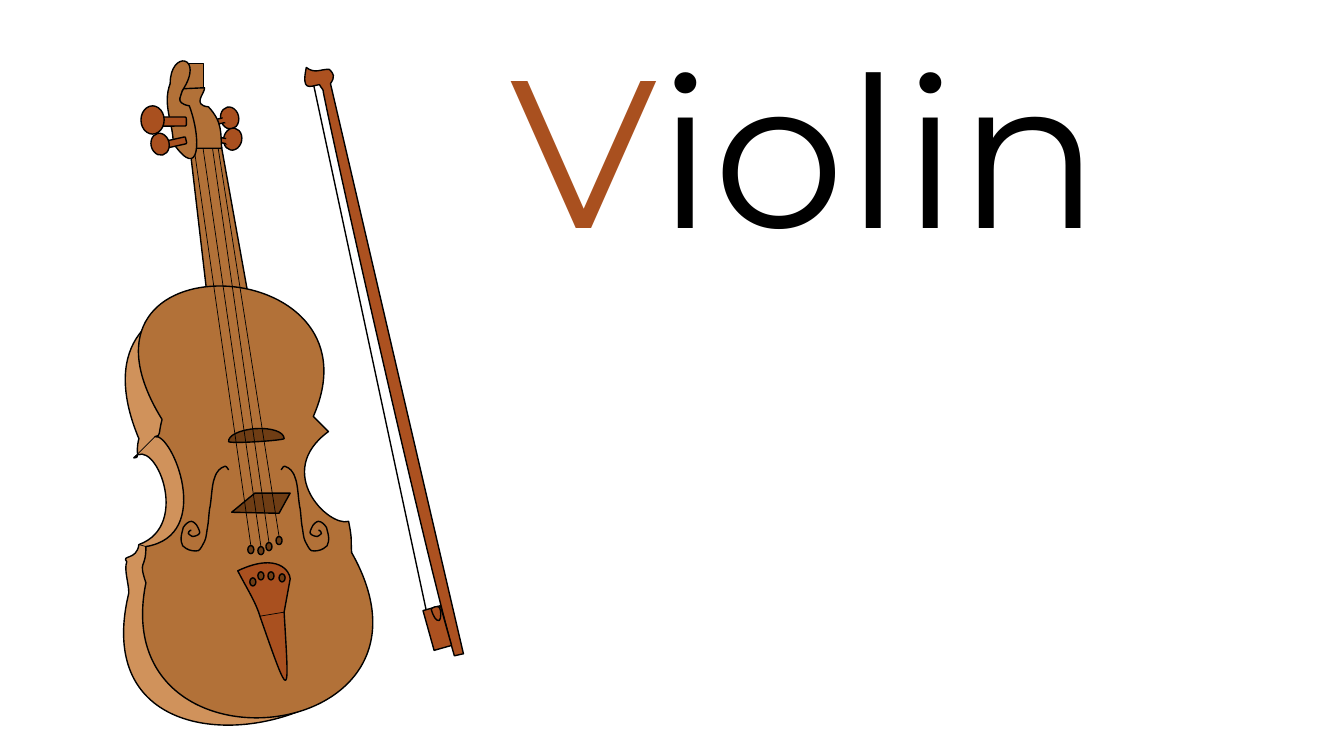
from dataclasses import dataclass
from math import comb
from typing import Any

from lxml.etree import SubElement
from pptx import Presentation
from pptx.dml.color import RGBColor
from pptx.enum.shapes import MSO_CONNECTOR, MSO_SHAPE
from pptx.enum.text import MSO_ANCHOR, MSO_AUTO_SIZE, PP_ALIGN
from pptx.oxml.ns import qn
from pptx.util import Cm, Pt

BLACK = RGBColor(0x00, 0x00, 0x00)
CHESTNUT = RGBColor(0xA9, 0x50, 0x1F)
BOW_WOOD = RGBColor(0xAC, 0x51, 0x20)
MAPLE = RGBColor(0xB2, 0x71, 0x38)
SIDE_WOOD = RGBColor(0xD0, 0x92, 0x5B)
EBONY = RGBColor(0x6F, 0x3D, 0x14)

CURVE_STEPS = 16
TITLE_BOX = (Cm(12.62), Cm(0.33), Cm(17.7), Cm(6.68))
VIOLIN_BOX = (Cm(3.12), Cm(1.55), Cm(6.15))
BOW_BOX = (Cm(7.72), Cm(1.7), Cm(3.96))

NECK = "1.87 1.33 / 2.18 1.35 / 2.5 3.13 / 2.08 3.13"
BACK = """1.33 4.54 / 1.4 4.54 1.34 4.5 1.38 4.35 / 0.58 2.44 3.62 2.73 2.89 4.33 / 3.03 4.47
    / 2.48 4.85 3.03 5.38 3.23 5.33 / 3.28 5.52 3.25 5.51 3.27 5.62 / 4.92 7.02 0.72 8.19 1.28 5.88
    / 1.28 5.78 1.23 5.65 1.26 5.57 / 1.2 5.5 1.36 5.56 1.38 5.4 / 1.91 5.21 1.53 4.31 1.33 4.54"""
FRONT = """1.54 4.33 / 1.6 4.32 1.57 4.31 1.61 4.16 / 0.48 2.33 3.84 2.47 3.11 4.13 / 3.26 4.28
    / 2.71 4.68 3.26 5.23 3.46 5.17 / 3.5 5.37 3.48 5.36 3.49 5.48 / 4.58 7.41 1.04 7.79 1.45 5.78
    / 1.37 5.54 1.45 5.66 1.45 5.42 / 2.13 5.31 1.71 4.29 1.54 4.33"""
FINGERBOARD_END = """2.27 4.38 / 2.26 4.32 2.38 4.26 2.54 4.25 / 2.69 4.24 2.82 4.28 2.82 4.35
    / 2.78 4.37 2.31 4.4 2.27 4.38"""
BRIDGE = "2.53 4.89 / 2.88 4.89 / 2.77 5.09 / 2.3 5.08"
SOUND_HOLE = """2.79 4.66 / 2.8 4.64 2.82 4.61 2.84 4.63 / 2.87 4.64 2.91 4.67 2.93 4.74
    / 2.96 4.81 2.96 4.97 2.98 5.05 / 2.99 5.14 2.99 5.18 3 5.23 / 3.01 5.28 3.01 5.33 3.03 5.37
    / 3.05 5.4 3.06 5.44 3.09 5.46 / 3.12 5.47 3.18 5.46 3.21 5.44 / 3.24 5.43 3.26 5.4 3.26 5.37
    / 3.27 5.33 3.25 5.27 3.24 5.23 / 3.22 5.2 3.19 5.17 3.16 5.17 / 3.14 5.17 3.11 5.2 3.1 5.22
    / 3.09 5.24 3.07 5.28 3.08 5.29 / 3.09 5.31 3.13 5.32 3.15 5.32 / 3.16 5.32 3.18 5.3 3.19 5.29
    / 3.19 5.28 3.18 5.26 3.17 5.26 / 3.16 5.26"""
SOUND_HOLE_AXIS = 2.53
TAILPIECE = """2.36 5.66 / 2.76 5.47 2.88 5.67 2.88 5.74 / 2.82 6.07 / 2.87 6.93 2.89 7 2.58 6.11
    / 2.54 5.97 2.43 5.8 2.36 5.66"""
PEGBOX = """1.82 0.88 / 2.03 0.87 / 2.04 0.92 1.9 1.04 2.07 1.06 / 2.21 1.21 2.19 1.32 2.2 1.47
    / 1.93 1.47 / 1.9 1.28 1.7 1.07 1.82 0.88"""
SCROLL = """1.69 0.83 / 1.69 0.49 2.04 0.55 1.81 0.9 / 1.81 0.94 1.72 1.02 1.88 1.05
    / 2 1.37 1.99 1.81 1.72 1.42 / 1.72 1.22 1.61 1.04 1.69 0.83"""
BOW_HAIR = "3.11 0.83 / 4.25 6.15"
BOW_STICK = """3.04 0.67 / 3.13 0.74 3.19 0.68 3.27 0.69 / 3.31 0.73 3.33 0.76 3.28 0.83 / 4.6 6.49
    / 4.51 6.51 / 4.25 5.61 3.4 1.86 3.21 0.92 / 3.21 0.88 3.19 0.88 3.17 0.84
    / 3.07 0.86 2.99 0.91 3.04 0.67"""
FROG_EYE = """4.28 6.05 / 4.28 6.03 4.35 6.01 4.36 6.03 / 4.38 6.05 4.38 6.15 4.36 6.16
    / 4.33 6.17 4.3 6.12 4.28 6.05"""

STRINGS = [((2.01, 1.43), (2.59, 5.42)), ((2.1, 1.4), (2.67, 5.38)),
           ((2.15, 1.37), (2.77, 5.32)), ((1.92, 1.42), (2.49, 5.41))]
SEAMS = [((1.54, 4.33), (1.33, 4.54)), ((1.45, 5.42), (1.38, 5.4)), ((2.58, 6.11), (2.82, 6.07))]
TAIL_HOLES = [(2.77, 5.69), (2.66, 5.67), (2.56, 5.67), (2.48, 5.73)]
RIGHT_PEGS = [
    (347.4, (2.19, 1.06, 0.18, 0.22), (2.16, 1.17, 0.1, 0.05), (2.21, 1.13, 0.08, 0.09)),
    (11.3, (2.22, 1.27, 0.18, 0.22), (2.17, 1.37, 0.1, 0.05), (2.24, 1.35, 0.07, 0.09)),
]
LEFT_PEGS = [(0, (1.56, 1.16, 0.29, 0.09), (1.4, 1.05, 0.23, 0.28)),
             (347.4, (1.62, 1.38, 0.23, 0.07), (1.5, 1.32, 0.18, 0.22))]


def point_along(points, t):
    degree = len(points) - 1
    weights = [comb(degree, i) * t ** i * (1 - t) ** (degree - i) for i in range(degree + 1)]
    return tuple(round(sum(w * v for w, v in zip(weights, axis))) for axis in zip(*points))


def paint(shape, fill, outlined=True):
    shape.shadow.inherit = False
    if fill is None:
        shape.fill.background()
    else:
        shape.fill.solid()
        shape.fill.fore_color.rgb = fill
    if outlined:
        shape.line.color.rgb = BLACK
        shape.line.width = Pt(1)
    else:
        shape.line.fill.background()


@dataclass
class Sketch:
    shapes: Any
    box: tuple
    grid: tuple

    def size(self, length):
        return round(length * self.box[2] / self.grid[2])

    def point(self, x, y):
        return self.box[0] + self.size(x - self.grid[0]), self.box[1] + self.size(y - self.grid[1])

    def outline(self, outline, fill=None, mirror=None):
        pieces = []
        for piece in outline.split("/"):
            numbers = [float(number) for number in piece.split()]
            pieces.append([self.point(x if mirror is None else 2 * mirror - x, y)
                           for x, y in zip(numbers[::2], numbers[1::2])])
        edge = [point_along([before[-1], *piece], step / CURVE_STEPS)
                for before, piece in zip(pieces, pieces[1:]) for step in range(1, CURVE_STEPS + 1)]
        builder = self.shapes.build_freeform(*pieces[0][0])
        builder.add_line_segments(edge, close=fill is not None)
        shape = builder.convert_to_shape()
        left, top = min(x for x, y in pieces[0] + edge), min(y for x, y in pieces[0] + edge)
        route = next(shape._element.iter(qn("a:path")))
        for child in list(route):
            route.remove(child)
        for index, piece in enumerate(pieces):
            kind = "a:moveTo" if index == 0 else "a:cubicBezTo" if len(piece) == 3 else "a:lnTo"
            move = SubElement(route, qn(kind))
            for x, y in piece:
                SubElement(move, qn("a:pt"), x=str(x - left), y=str(y - top))
        if fill is not None:
            SubElement(route, qn("a:close"))
        paint(shape, fill)

    def preset(self, kind, place, fill, rotation=0, outlined=True):
        x, y, width, height = place
        shape = self.shapes.add_shape(kind, *self.point(x, y), self.size(width), self.size(height))
        shape.rotation = rotation
        paint(shape, fill, outlined)

    def line(self, start, end):
        line = self.shapes.add_connector(
            MSO_CONNECTOR.STRAIGHT, *self.point(*start), *self.point(*end))
        line.line.color.rgb = BLACK
        line.line.width = Pt(0.5)
        SubElement(line._element.spPr, qn("a:effectLst"))


def draw_violin(page, box):
    violin = Sketch(page.shapes.add_group_shape().shapes, box, (1.23, 0.61, 2.42))
    for turn, head, stem, cover in RIGHT_PEGS:
        violin.preset(MSO_SHAPE.OVAL, head, CHESTNUT, turn)
        violin.preset(MSO_SHAPE.ROUNDED_RECTANGLE, stem, CHESTNUT, turn)
        violin.preset(MSO_SHAPE.OVAL, cover, CHESTNUT, turn, outlined=False)
    for outline, fill in ((NECK, MAPLE), (BACK, SIDE_WOOD), (FRONT, MAPLE),
                          (FINGERBOARD_END, EBONY), (BRIDGE, EBONY), (TAILPIECE, CHESTNUT)):
        violin.outline(outline, fill)
    for mirror in (None, SOUND_HOLE_AXIS):
        violin.outline(SOUND_HOLE, mirror=mirror)
    for start, end in STRINGS + SEAMS:
        violin.line(start, end)
    for x, y in TAIL_HOLES + [(x - 0.03, y) for start, (x, y) in STRINGS]:
        violin.preset(MSO_SHAPE.OVAL, (x, y, 0.06, 0.08), EBONY)
    violin.preset(MSO_SHAPE.RECTANGLE, (1.78, 0.63, 0.24, 0.27), MAPLE)
    violin.outline(PEGBOX, MAPLE)
    violin.outline(SCROLL, MAPLE)
    for turn, stem, head in LEFT_PEGS:
        violin.preset(MSO_SHAPE.ROUNDED_RECTANGLE, stem, CHESTNUT, turn)
        violin.preset(MSO_SHAPE.OVAL, head, CHESTNUT, turn)


def draw_bow(page, box):
    bow = Sketch(page.shapes.add_group_shape().shapes, box, (3.04, 0.67, 1.56))
    bow.outline(BOW_HAIR)
    bow.outline(BOW_STICK, BOW_WOOD)
    bow.preset(MSO_SHAPE.RECTANGLE, (4.25, 6.03, 0.18, 0.41), BOW_WOOD, 344.4)
    bow.outline(FROG_EYE, BOW_WOOD)


def add_span(para, text, *, color, size=150, font="Montserrat"):
    span = para.add_run()
    span.text = text
    span.font.name, span.font.size = font, Pt(size)
    span.font.color.rgb = color


def write_title(page, box):
    title = page.shapes.title
    title.left, title.top, title.width, title.height = box
    frame = title.text_frame
    frame.word_wrap = True
    frame.auto_size = MSO_AUTO_SIZE.SHAPE_TO_FIT_TEXT
    frame.vertical_anchor = MSO_ANCHOR.TOP
    para = frame.paragraphs[0]
    para.alignment = PP_ALIGN.LEFT
    add_span(para, "V", color=CHESTNUT)
    add_span(para, "iolin", color=BLACK)


deck = Presentation()
deck.slide_width, deck.slide_height = Cm(33.87), Cm(19.05)
page = deck.slides.add_slide(deck.slide_layouts[5])
write_title(page, TITLE_BOX)
draw_violin(page, VIOLIN_BOX)
draw_bow(page, BOW_BOX)
deck.save("out.pptx")
